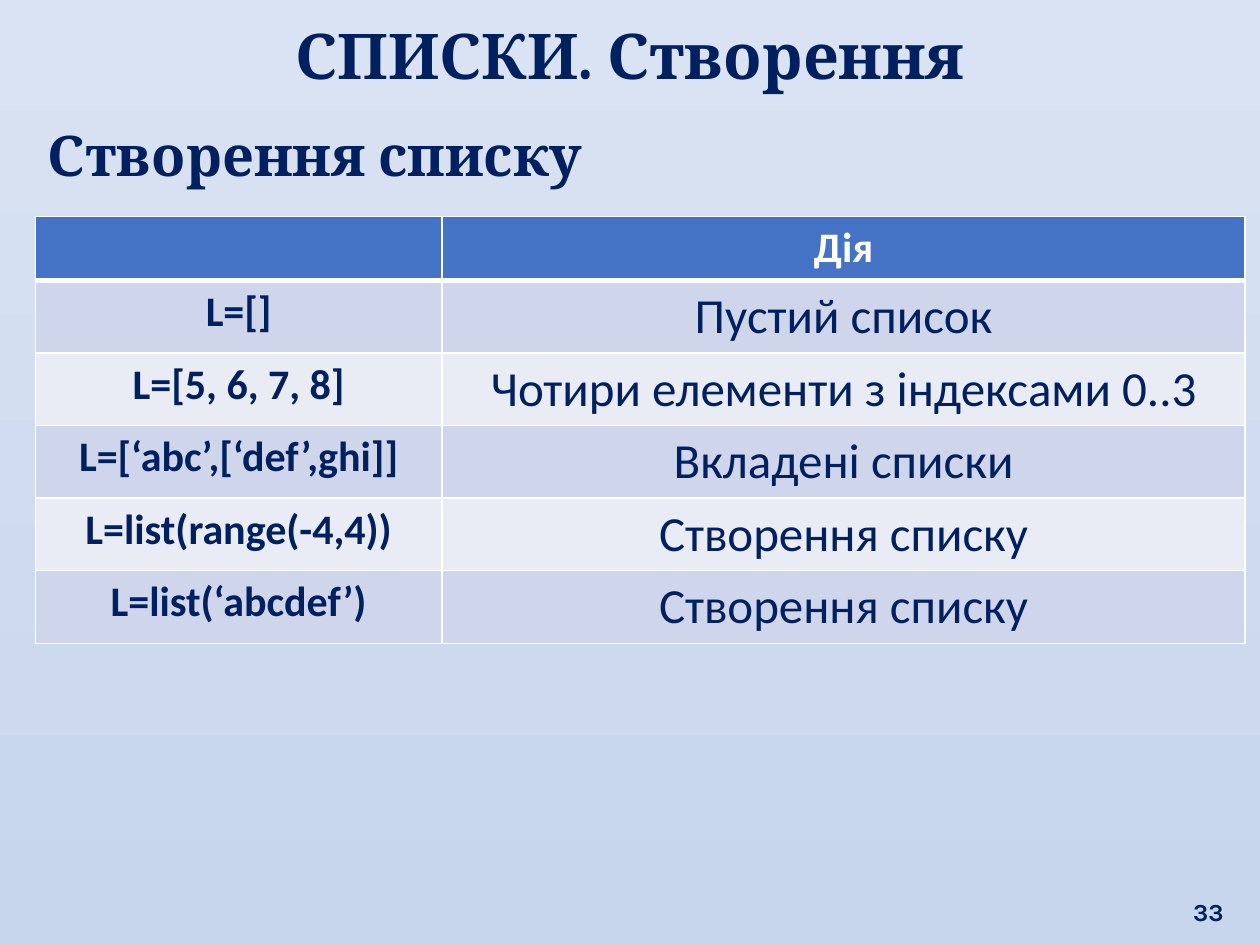
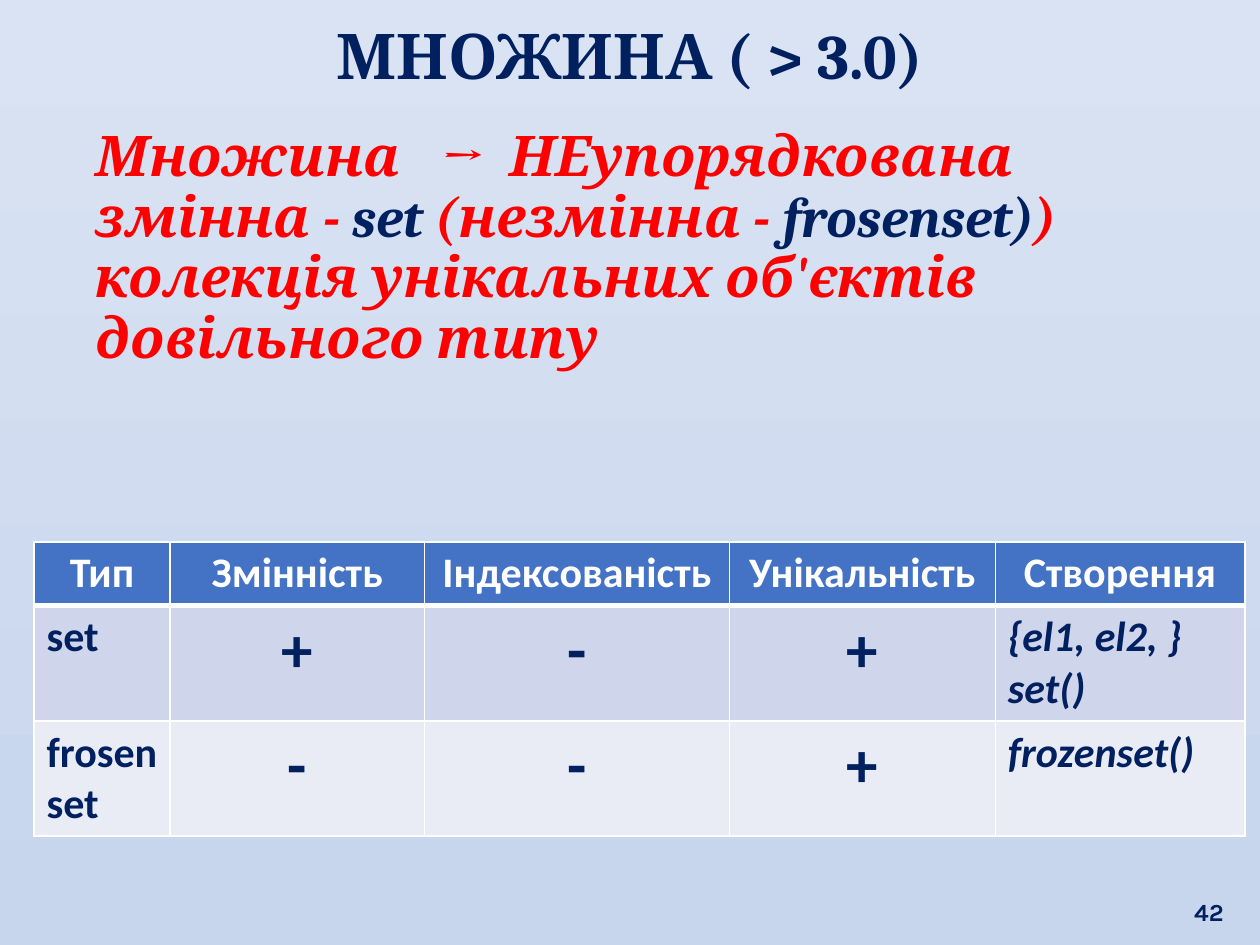
from lxml import etree
from pptx import Presentation
from pptx.dml.color import RGBColor
from pptx.enum.text import MSO_ANCHOR, MSO_AUTO_SIZE, PP_ALIGN
from pptx.oxml.ns import qn
from pptx.util import Inches, Pt

COLORS = {
    "sky_top": "DAE3F3",
    "sky_bottom": "C7D5ED",
    "navy": "002060",
    "red": "FF0000",
    "white": "FFFFFF",
    "header": "4472C4",
    "band_dark": "CFD5EA",
    "band_light": "E9EBF5",
}
HEADING_FONT, TABLE_FONT, NUMBER_FONT = "Cambria", "Calibri", "Karla"
LEFT, CENTER, RIGHT = PP_ALIGN.LEFT, PP_ALIGN.CENTER, PP_ALIGN.RIGHT

# Column styles: size, bold, italic, alignment
HEADER_STYLE = (24, True, False, CENTER)
CODE_STYLE = (24, True, False, CENTER)
ACTION_STYLE = (28, False, False, CENTER)
TYPE_STYLE = (24, True, False, LEFT)
SIGN_STYLE = (36, True, False, CENTER)
CALL_STYLE = (24, True, True, LEFT)


def rgb(name):
    return RGBColor.from_string(COLORS[name])


def add_run(paragraph, text, font, size, color="navy", bold=True, italic=False, spacing=0):
    """Add one run; spacing widens its characters, in points."""
    run = paragraph.add_run()
    run.text = text
    run.font.name = font
    run.font.size = Pt(size)
    run.font.bold = bold
    run.font.italic = italic
    run.font.color.rgb = rgb(color)
    if spacing:
        run._r.get_or_add_rPr().set("spc", str(spacing * 100))


def place(shape, box, anchor):
    """Move a text shape to its box and return its first paragraph."""
    shape.left, shape.top, shape.width, shape.height = map(Inches, box)
    frame = shape.text_frame
    frame.word_wrap = True
    frame.auto_size = MSO_AUTO_SIZE.NONE
    frame.vertical_anchor = anchor
    return frame.paragraphs[0]


def set_background(master):
    fill = master.background.fill
    fill.gradient()
    fill.gradient_angle = 270
    for stop, name in zip(fill.gradient_stops, ("sky_top", "sky_bottom")):
        stop.color.rgb = rgb(name)


def add_base_slide(presentation, title, number):
    """Slide with the shared title and page number."""
    slide = presentation.slides.add_slide(presentation.slide_layouts[1])
    paragraph = place(slide.shapes.title, (0.12, 0.08, 9.76, 0.71), MSO_ANCHOR.MIDDLE)
    paragraph.alignment = CENTER
    add_run(paragraph, title, HEADING_FONT, 36)

    number_box = slide.shapes.add_textbox(0, 0, 0, 0)
    paragraph = place(number_box, (9.33, 6.9, 0.48, 0.5), MSO_ANCHOR.BOTTOM)
    paragraph.alignment = RIGHT
    add_run(paragraph, number, NUMBER_FONT, 14)
    return slide


def fill_body(slide, box, runs, italic=False):
    """Unbulleted statement made of (text, colour, spacing) runs."""
    paragraph = place(slide.placeholders[1], box, MSO_ANCHOR.TOP)
    properties = paragraph._p.get_or_add_pPr()
    properties.set("marL", "0")
    properties.set("indent", "0")
    etree.SubElement(properties, qn("a:buNone"))
    paragraph.alignment = LEFT
    paragraph.line_spacing = 0.9
    paragraph.space_before = Pt(0)
    for text, color, spacing in runs:
        add_run(paragraph, text, HEADING_FONT, 32, color, italic=italic, spacing=spacing)


def set_borders(cell, top, bottom):
    properties = cell._tc.get_or_add_tcPr()
    for side, width in (("L", 1), ("R", 1), ("T", top), ("B", bottom)):
        line = etree.SubElement(properties, qn(f"a:ln{side}"), w=str(Pt(width)))
        solid = etree.SubElement(line, qn("a:solidFill"))
        etree.SubElement(solid, qn("a:srgbClr"), val=COLORS["white"])


def add_banded_table(slide, left, top, widths, heights, rows, styles):
    """Blue header row over rows that alternate between two bands."""
    frame = slide.shapes.add_table(
        len(rows), len(widths), Inches(left), Inches(top),
        Inches(sum(widths)), Inches(sum(heights)))
    table = frame.table
    for column, width in zip(table.columns, widths):
        column.width = Inches(width)
    for index, (row, height, texts) in enumerate(zip(table.rows, heights, rows)):
        row.height = Inches(height)
        is_header = index == 0
        band = "header" if is_header else ("band_light", "band_dark")[index % 2]
        for cell, text, style in zip(row.cells, texts, styles):
            set_borders(cell, 3 if index == 1 else 1, 3 if is_header else 1)
            cell.fill.solid()
            cell.fill.fore_color.rgb = rgb(band)
            size, bold, italic, alignment = HEADER_STYLE if is_header else style
            color = "white" if is_header else "navy"
            for position, line in enumerate(text.splitlines()):
                text_frame = cell.text_frame
                paragraph = text_frame.add_paragraph() if position else text_frame.paragraphs[0]
                paragraph.alignment = alignment
                add_run(paragraph, line, TABLE_FONT, size, color, bold, italic)


def build_list_slide(presentation):
    slide = add_base_slide(presentation, "СПИСКИ. Створення", "33")
    fill_body(slide, (0.28, 0.97, 9.52, 0.59), [("Створення списку", "navy", 0)])
    rows = [
        ("", "Дія"),
        ("L=[]", "Пустий список"),
        ("L=[5, 6, 7, 8]", "Чотири елементи з індексами 0..3"),
        ("L=[‘abc’,[‘def’,ghi]]", "Вкладені списки"),
        ("L=list(range(-4,4))", "Створення списку"),
        ("L=list(‘abcdef’)", "Створення списку"),
    ]
    add_banded_table(slide, 0.28, 1.72, (3.23, 6.37), [0.5] + [0.56] * 5,
                     rows, (CODE_STYLE, ACTION_STYLE))


def build_set_slide(presentation):
    slide = add_base_slide(presentation, "МНОЖИНА ( > 3.0)", "42")
    statement = [
        ("Множина", "red", 0),
        (" ", "red", 16),
        ("→", "red", 0),
        (" ", "red", 8),
        ("НЕупорядкована змінна - ", "red", 0),
        ("set ", "navy", 0),
        ("(незмінна - ", "red", 0),
        ("frosenset)", "navy", 0),
        (") колекція унікальних об'єктів довільного типу", "red", 0),
    ]
    fill_body(slide, (0.66, 0.97, 9.13, 1.56), statement, italic=True)
    rows = [
        ("Тип", "Змінність", "Індексованість", "Унікальність", "Створення"),
        ("set", "+", "-", "+", "{el1, el2, }\nset()"),
        ("frosenset", "-", "-", "+", "frozenset()"),
    ]
    add_banded_table(slide, 0.27, 4.3, (1.08, 2.02, 2.42, 2.11, 1.98), (0.5, 0.89, 0.89),
                     rows, (TYPE_STYLE, *[SIGN_STYLE] * 3, CALL_STYLE))


def main():
    presentation = Presentation()
    presentation.slide_width = Inches(10)
    presentation.slide_height = Inches(7.5)
    set_background(presentation.slide_master)
    build_list_slide(presentation)
    build_set_slide(presentation)
    presentation.save("out.pptx")


if __name__ == "__main__":
    main()
